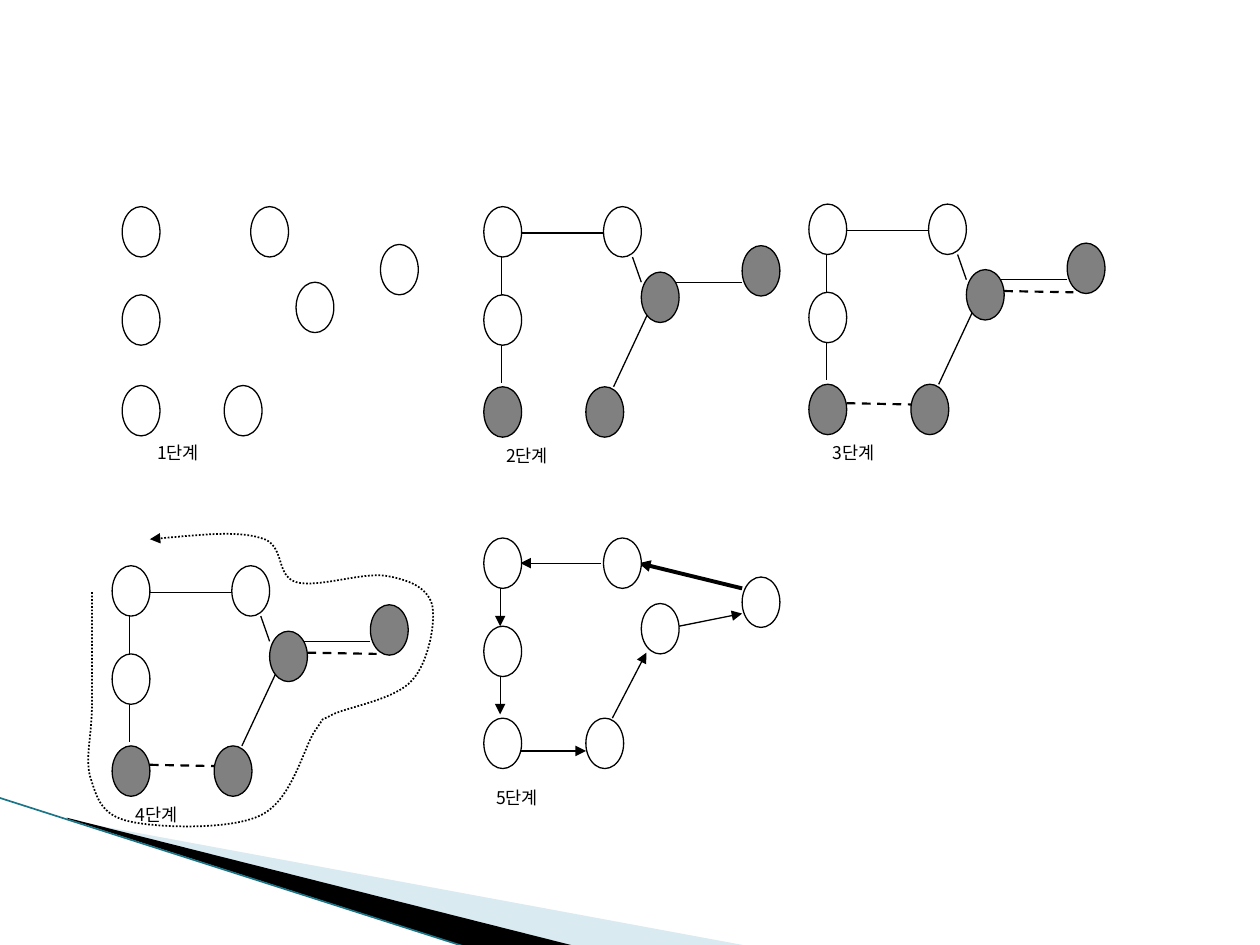
from lxml.etree import SubElement
from pptx import Presentation
from pptx.dml.color import RGBColor
from pptx.enum.dml import MSO_LINE
from pptx.enum.shapes import MSO_CONNECTOR, MSO_SHAPE
from pptx.enum.text import PP_ALIGN
from pptx.oxml.ns import qn
from pptx.util import Inches, Pt

COLORS = {"black": "000000", "white": "FFFFFF", "gray": "808080",
          "pale": "A0CBDC", "teal": "1B7587"}
FONT = "Noto Sans CJK KR"
NODE_WIDTH, NODE_HEIGHT = 0.3, 0.4

# Node and edge positions are offsets from the top left of a stage
SCATTERED_NODES = [(0, 0), (0, 0.7), (0, 1.42), (1.02, 0),
                   (1.38, 0.6), (0.81, 1.42), (2.05, 0.3)]
GRAPH_NODES = [(0, 0), (0, 0.7), (0, 1.43), (0.95, 0),
               (1.25, 0.52), (0.81, 1.43), (2.05, 0.31)]
ODD_NODES = {2, 4, 5, 6}
TREE_EDGES = [(0.14, 0.4, 0.14, 0.7), (0.14, 1.1, 0.14, 1.4),
              (1.18, 0.4, 1.25, 0.6), (1.32, 0.81, 1.03, 1.43),
              (2.05, 0.6, 1.48, 0.6), (0.95, 0.21, 0.3, 0.21)]
MATCHING_EDGES = [(0.3, 1.58, 0.81, 1.59), (1.55, 0.69, 2.1, 0.7)]
TOUR_EDGES = [(0.13, 0.4, 0.13, 0.7), (0.13, 1.1, 0.13, 1.4),
              (1.02, 1.43, 1.29, 0.91), (1.55, 0.7, 2.05, 0.6),
              (0.25, 1.69, 0.81, 1.69), (0.93, 0.2, 0.29, 0.2)]
SHORTCUT_EDGE = (2.05, 0.4, 1.23, 0.2)

# Walk around the tree: a start point, then two controls and an end per curve
WALK_POINTS = [
    (0.73, 4.7),
    (0.73, 5.02), (0.73, 5.34), (0.73, 5.59), (0.73, 5.84), (0.67, 6.03), (0.72, 6.18),
    (0.77, 6.33), (0.8, 6.47), (1.03, 6.52), (1.25, 6.57), (1.83, 6.59), (2.07, 6.47),
    (2.32, 6.35), (2.41, 5.93), (2.5, 5.8), (2.6, 5.66), (2.52, 5.74), (2.64, 5.67),
    (2.77, 5.61), (3.14, 5.55), (3.27, 5.4), (3.4, 5.26), (3.46, 4.94), (3.43, 4.8),
    (3.39, 4.66), (3.24, 4.6), (3.06, 4.57), (2.88, 4.54), (2.51, 4.67), (2.35, 4.62),
    (2.18, 4.57), (2.27, 4.32), (2.07, 4.27), (1.88, 4.21), (1.54, 4.25), (1.19, 4.28)]


def color(name):
    return RGBColor.from_string(COLORS[name])


def format_line(line, name="black", arrow=False, **values):
    line.color.rgb = color(name)
    for attribute, value in values.items():
        setattr(line, attribute, value)
    if arrow:
        SubElement(line._get_or_add_ln(), qn("a:tailEnd"), type="triangle")


def add_edge(slide, left, top, edge, width=0.75, **line_format):
    x1, y1, x2, y2 = edge
    connector = slide.shapes.add_connector(
        MSO_CONNECTOR.STRAIGHT, Inches(left + x1), Inches(top + y1),
        Inches(left + x2), Inches(top + y2))
    format_line(connector.line, width=Pt(width), **line_format)
    SubElement(connector._element.spPr, qn("a:effectLst"))


def add_node(slide, left, top, fill):
    node = slide.shapes.add_shape(
        MSO_SHAPE.OVAL, Inches(left), Inches(top),
        Inches(NODE_WIDTH), Inches(NODE_HEIGHT))
    node.shadow.inherit = False
    node.fill.solid()
    node.fill.fore_color.rgb = color(fill)
    format_line(node.line, width=Pt(0.75))


def add_label(slide, left, top, text):
    box = slide.shapes.add_textbox(Inches(left), Inches(top), Inches(1.5), Inches(0.59))
    box.text_frame.word_wrap = True
    paragraph = box.text_frame.paragraphs[0]
    paragraph.alignment = PP_ALIGN.JUSTIFY
    run = paragraph.add_run()
    run.text = text
    for attribute, value in {"size": Pt(10), "name": FONT}.items():
        setattr(run.font, attribute, value)
    run.font.color.rgb = color("black")
    SubElement(run._r.get_or_add_rPr(), qn("a:ea"), typeface=FONT)


def add_outline(slide, points):
    corners = [(Inches(x), Inches(y)) for x, y in points]
    builder = slide.shapes.build_freeform(*corners[0], scale=1.0)
    builder.add_line_segments(corners[1:], close=False)
    shape = builder.convert_to_shape()
    shape.shadow.inherit = False
    return shape


def add_stage(slide, left, top, label, label_at, nodes=GRAPH_NODES, shaded=(), edges=()):
    """Draw one stage: edges as (positions, line format), nodes, then the label."""
    for positions, line_format in edges:
        for edge in positions:
            add_edge(slide, left, top, edge, **line_format)
    for index, (x, y) in enumerate(nodes):
        add_node(slide, left + x, top + y, "gray" if index in shaded else "white")
    add_label(slide, left + label_at[0], top + label_at[1], label)


def bend_segments(shape):
    """Turn every three straight segments of an outline into one cubic curve."""
    outline = next(shape._element.iter(qn("a:path")))
    segments = outline.findall(qn("a:lnTo"))
    for first in range(0, len(segments), 3):
        curve = SubElement(outline, qn("a:cubicBezTo"))
        for segment in segments[first:first + 3]:
            curve.append(segment[0])
            outline.remove(segment)


def add_walk(slide):
    walk = add_outline(slide, WALK_POINTS)
    bend_segments(walk)
    walk.fill.background()
    format_line(walk.line, width=Pt(1), dash_style=MSO_LINE.ROUND_DOT, arrow=True)


def add_corner_decoration(slide):
    wedges = [("pale", [(0.55, 6.51), (5.95, 7.51), (4.56, 7.51), (0.55, 6.5)]),
              ("black", [(0.53, 6.49), (4.57, 7.51), (3.72, 7.52), (0.54, 6.5)])]
    for name, points in wedges:
        wedge = add_outline(slide, points)
        wedge.fill.solid()
        wedge.fill.fore_color.rgb = color(name)
        wedge.line.fill.background()
        if name == "pale":
            fill_color = wedge._element.spPr.find(qn("a:solidFill"))[0]
            SubElement(fill_color, qn("a:alpha"), val="40000")
    add_edge(slide, 0, 0, (-0.01, 6.33, 3.71, 7.52), width=0.95, name="teal")


def main():
    presentation = Presentation()
    presentation.slide_width, presentation.slide_height = Inches(10), Inches(7.5)
    slide = presentation.slides.add_slide(presentation.slide_layouts[6])
    add_corner_decoration(slide)

    tree = (TREE_EDGES, {})
    matching = (MATCHING_EDGES, {"width": 1.25, "dash_style": MSO_LINE.DASH})
    tour = (TOUR_EDGES, {"arrow": True})
    shortcut = ([SHORTCUT_EDGE], {"width": 2.25, "arrow": True})

    # Top row: points, spanning tree, matching of odd nodes
    add_stage(slide, 0.97, 1.64, "1단계", (0.18, 1.82), SCATTERED_NODES)
    add_stage(slide, 3.84, 1.64, "2단계", (0.08, 1.84), shaded=ODD_NODES, edges=[tree])
    add_stage(slide, 6.42, 1.62, "3단계", (0.09, 1.84), shaded=ODD_NODES,
              edges=[tree, matching])

    # Bottom row: walk around the tree, final tour
    add_stage(slide, 0.89, 4.49, "4단계", (0.09, 1.84), shaded=ODD_NODES,
              edges=[tree, matching])
    add_walk(slide)
    add_stage(slide, 3.84, 4.27, "5단계", (0, 1.93), edges=[tour, shortcut])

    presentation.save("out.pptx")


if __name__ == "__main__":
    main()
